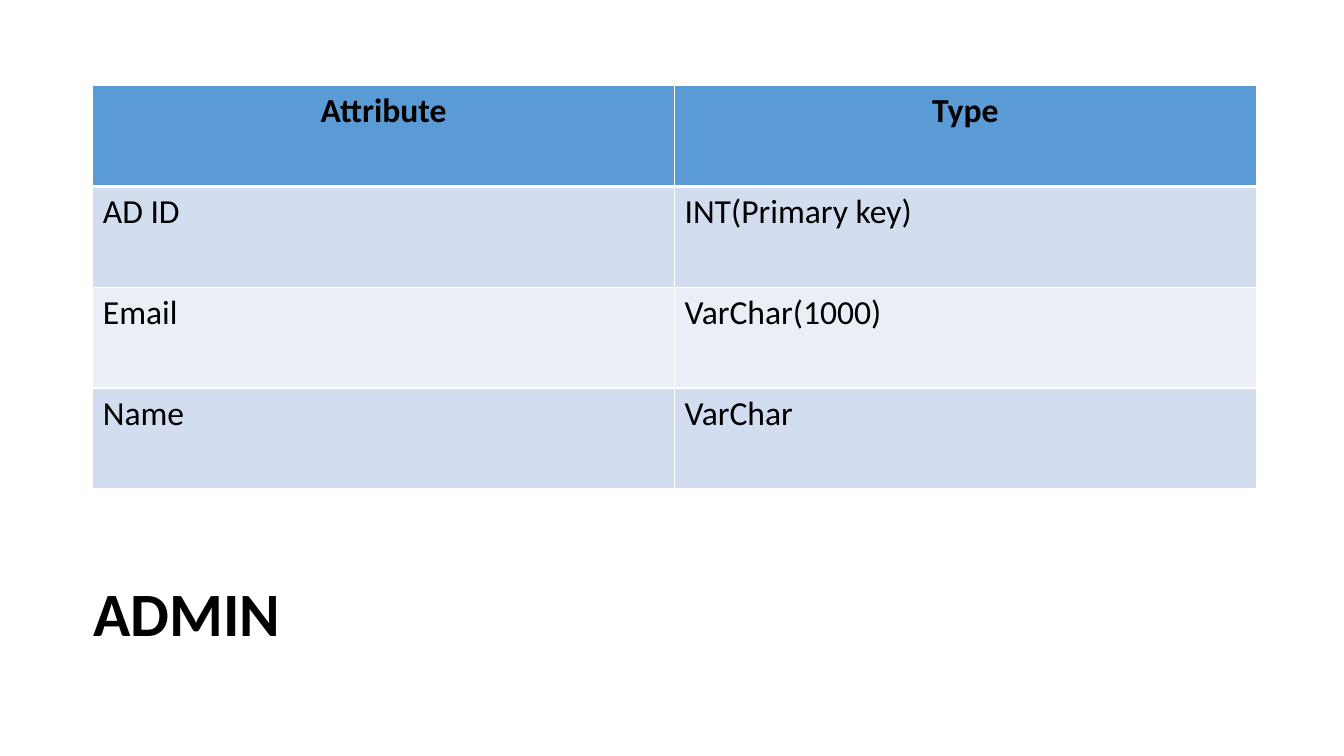
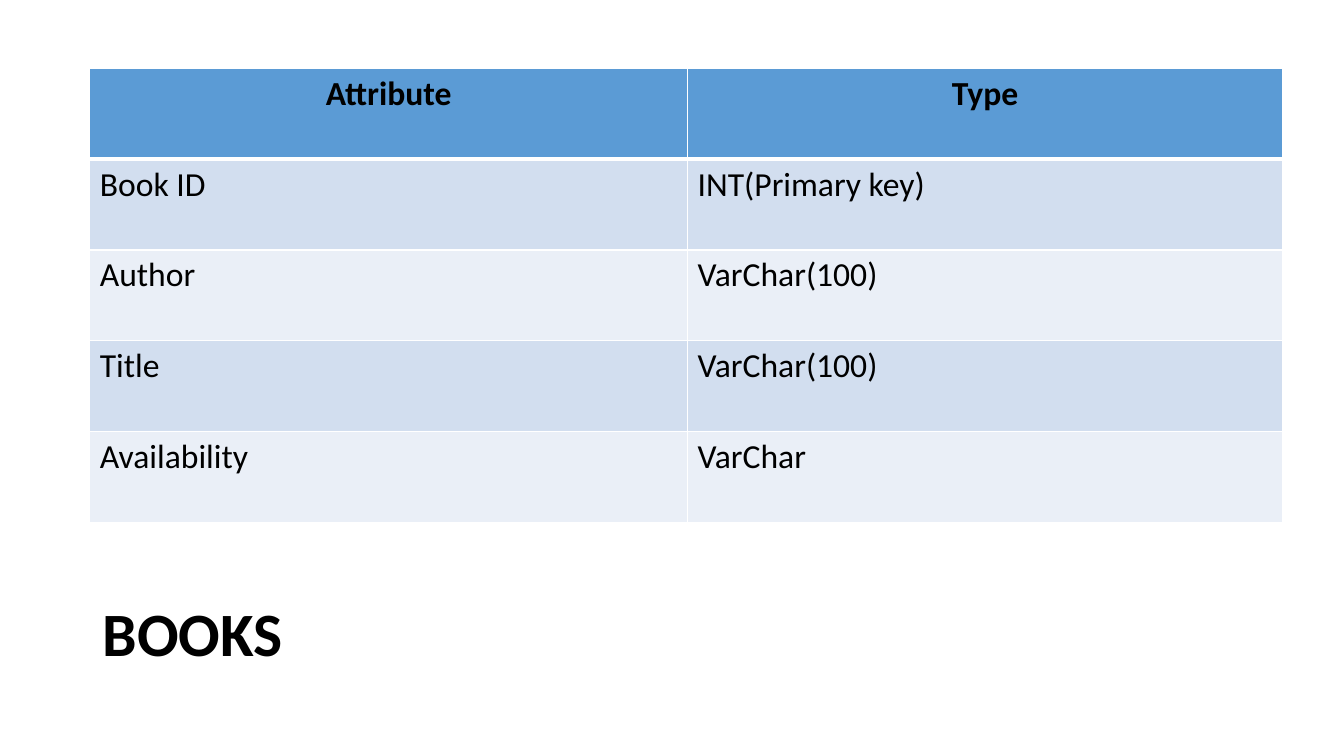
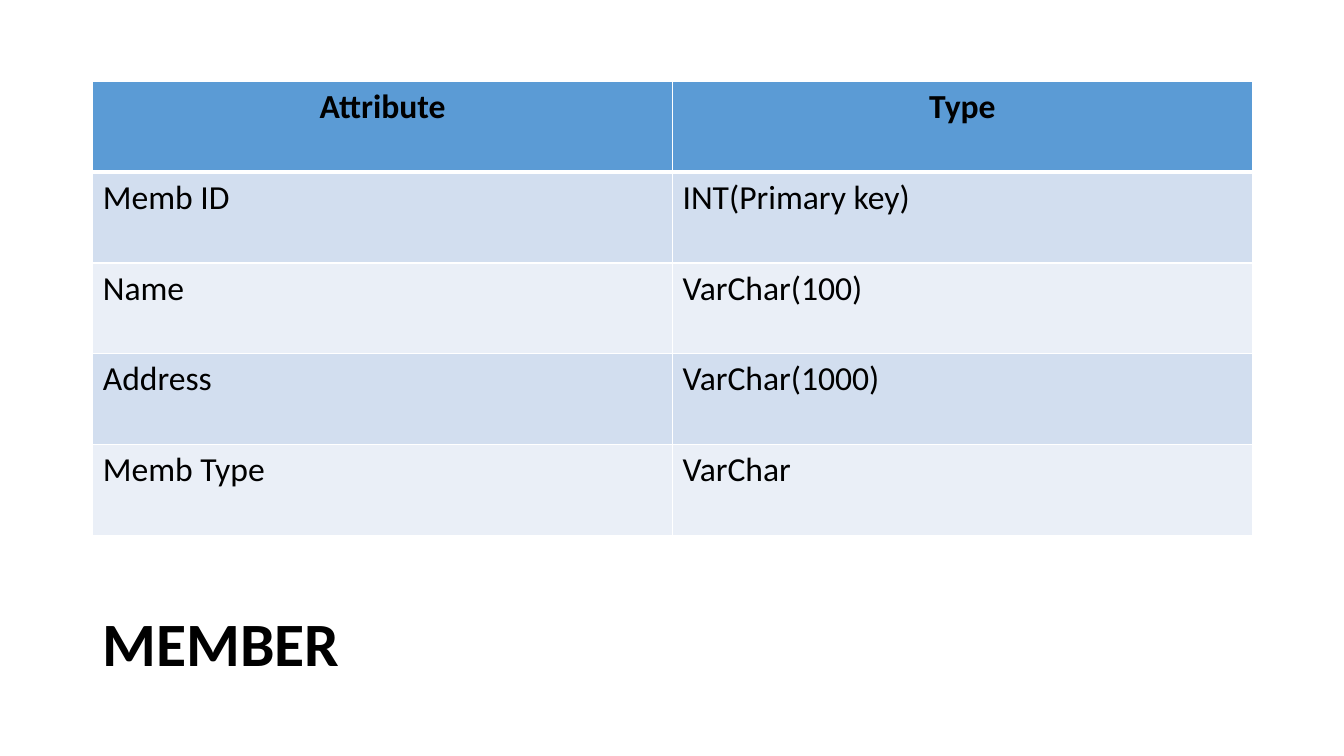
from dataclasses import dataclass

from lxml.etree import SubElement
from pptx import Presentation
from pptx.dml.color import RGBColor
from pptx.enum.text import MSO_ANCHOR as Anchor, PP_ALIGN as Align
from pptx.oxml.ns import qn
from pptx.slide import Slide
from pptx.table import _Cell as Cell
from pptx.text.text import _Paragraph as Paragraph
from pptx.util import Inches, Pt

# Shared style
FONT = "Calibri"
BLACK = RGBColor(0x00, 0x00, 0x00)
WHITE = RGBColor(0xFF, 0xFF, 0xFF)
HEADER_BLUE = RGBColor(0x5B, 0x9B, 0xD5)
BANDS = (RGBColor(0xD2, 0xDE, 0xEF), RGBColor(0xEA, 0xEF, 0xF7))
TITLE_SIZE, CELL_SIZE = 44, 24
TITLE_WIDTH, TITLE_HEIGHT = 11.5, 1.45
THIN, THICK = 1, 3
HEADER = ("Attribute", "Type")


@dataclass(frozen=True)
class Entity:
    """One database table: its title, placement in inches and fields."""
    title: str
    title_left: float
    title_top: float
    left: float
    top: float
    columns: tuple[float, float]
    row_height: float
    fields: tuple[tuple[str, str], ...]


ENTITIES = (
    Entity("ADMIN", 0.83, 5.39, 0.92, 0.85, (5.77, 5.77), 1.0, (
        ("AD ID", "INT(Primary key)"),
        ("Email", "VarChar(1000)"),
        ("Name", "VarChar"),
    )),
    Entity("BOOKS", 0.92, 5.59, 0.89, 0.68, (5.93, 5.9), 0.9, (
        ("Book ID", "INT(Primary key)"),
        ("Author", "VarChar(100)"),
        ("Title", "VarChar(100)"),
        ("Availability", "VarChar"),
    )),
    Entity("MEMBER", 0.92, 5.69, 0.92, 0.81, (5.75, 5.75), 0.9, (
        ("Memb ID", "INT(Primary key)"),
        ("Name", "VarChar(100)"),
        ("Address", "VarChar(1000)"),
        ("Memb Type", "VarChar"),
    )),
)


def add_span(para: Paragraph, text: str, size: int, bold: bool) -> None:
    span = para.add_run()
    span.text = text
    span.font.name = FONT
    span.font.size = Pt(size)
    span.font.bold = bold
    span.font.color.rgb = BLACK


def add_title(page: Slide, entity: Entity) -> None:
    box = page.shapes.add_textbox(
        Inches(entity.title_left), Inches(entity.title_top),
        Inches(TITLE_WIDTH), Inches(TITLE_HEIGHT))
    frame = box.text_frame
    frame.word_wrap = True
    frame.vertical_anchor = Anchor.MIDDLE
    para = frame.paragraphs[0]
    para.line_spacing = 0.9
    add_span(para, entity.title, TITLE_SIZE, True)


def set_borders(cell: Cell, top: int, bottom: int) -> None:
    """White cell borders; call before the fill, which must follow them."""
    properties = cell._tc.get_or_add_tcPr()
    for side, width in (("L", THIN), ("R", THIN), ("T", top), ("B", bottom)):
        line = SubElement(properties, qn(f"a:ln{side}"), w=str(Pt(width)))
        fill = SubElement(line, qn("a:solidFill"))
        SubElement(fill, qn("a:srgbClr"), val=str(WHITE))


def add_field_table(page: Slide, entity: Entity) -> None:
    rows = (HEADER, *entity.fields)
    table = page.shapes.add_table(
        len(rows), len(HEADER), Inches(entity.left), Inches(entity.top),
        Inches(sum(entity.columns)),
        Inches(entity.row_height * len(rows))).table
    for column, width in zip(table.columns, entity.columns):
        column.width = Inches(width)

    for row_index, texts in enumerate(rows):
        table.rows[row_index].height = Inches(entity.row_height)
        is_header = row_index == 0
        color = HEADER_BLUE if is_header else BANDS[(row_index - 1) % 2]
        for column_index, text in enumerate(texts):
            cell = table.cell(row_index, column_index)
            set_borders(cell, THICK if row_index == 1 else THIN,
                        THICK if is_header else THIN)
            cell.fill.solid()
            cell.fill.fore_color.rgb = color
            para = cell.text_frame.paragraphs[0]
            para.alignment = Align.CENTER if is_header else Align.LEFT
            add_span(para, text, CELL_SIZE, is_header)


# Build the deck
deck = Presentation()
deck.slide_width, deck.slide_height = Inches(13.33), Inches(7.5)
blank = deck.slide_layouts[6]
for entity in ENTITIES:
    page = deck.slides.add_slide(blank)
    add_title(page, entity)
    add_field_table(page, entity)
deck.save("out.pptx")
